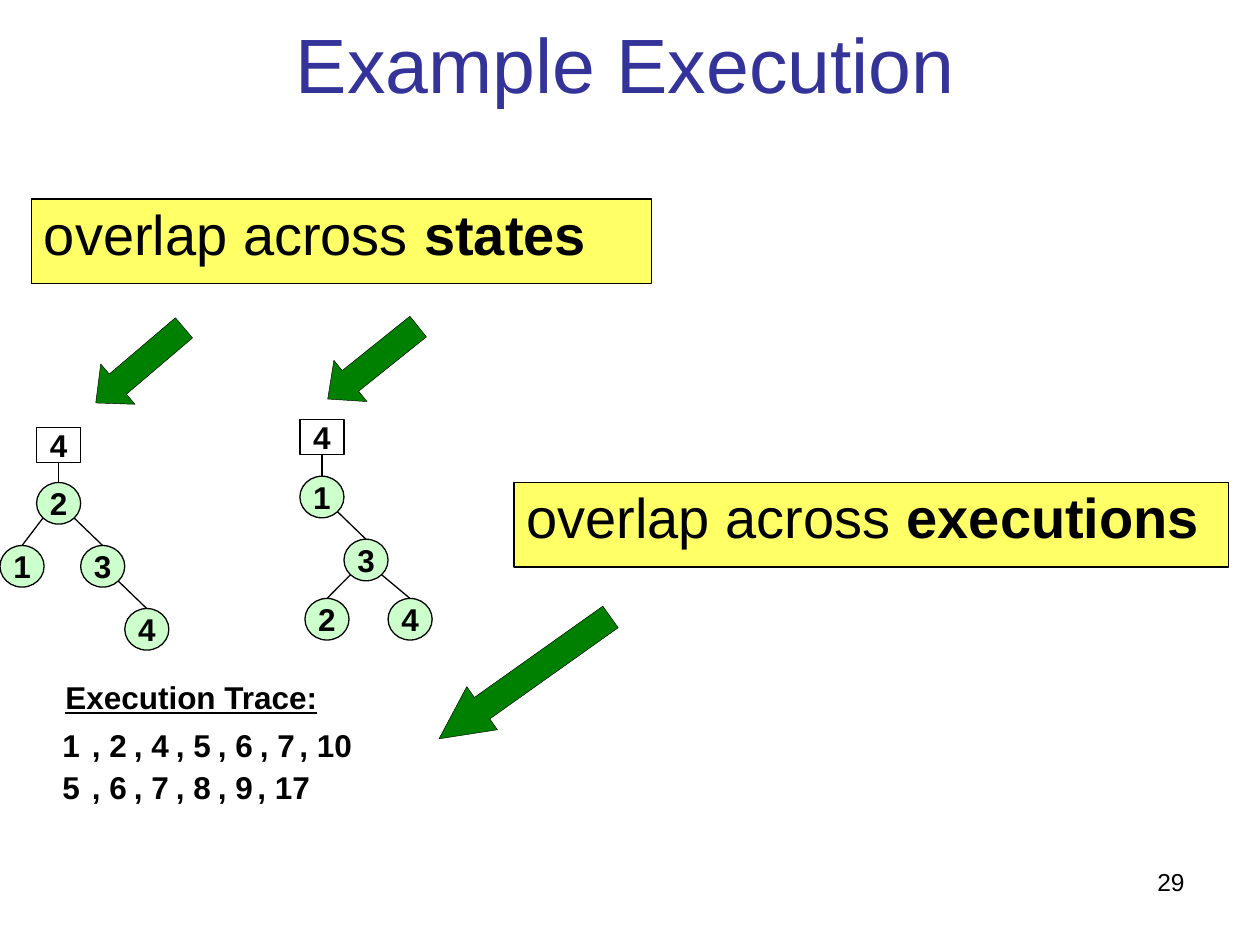
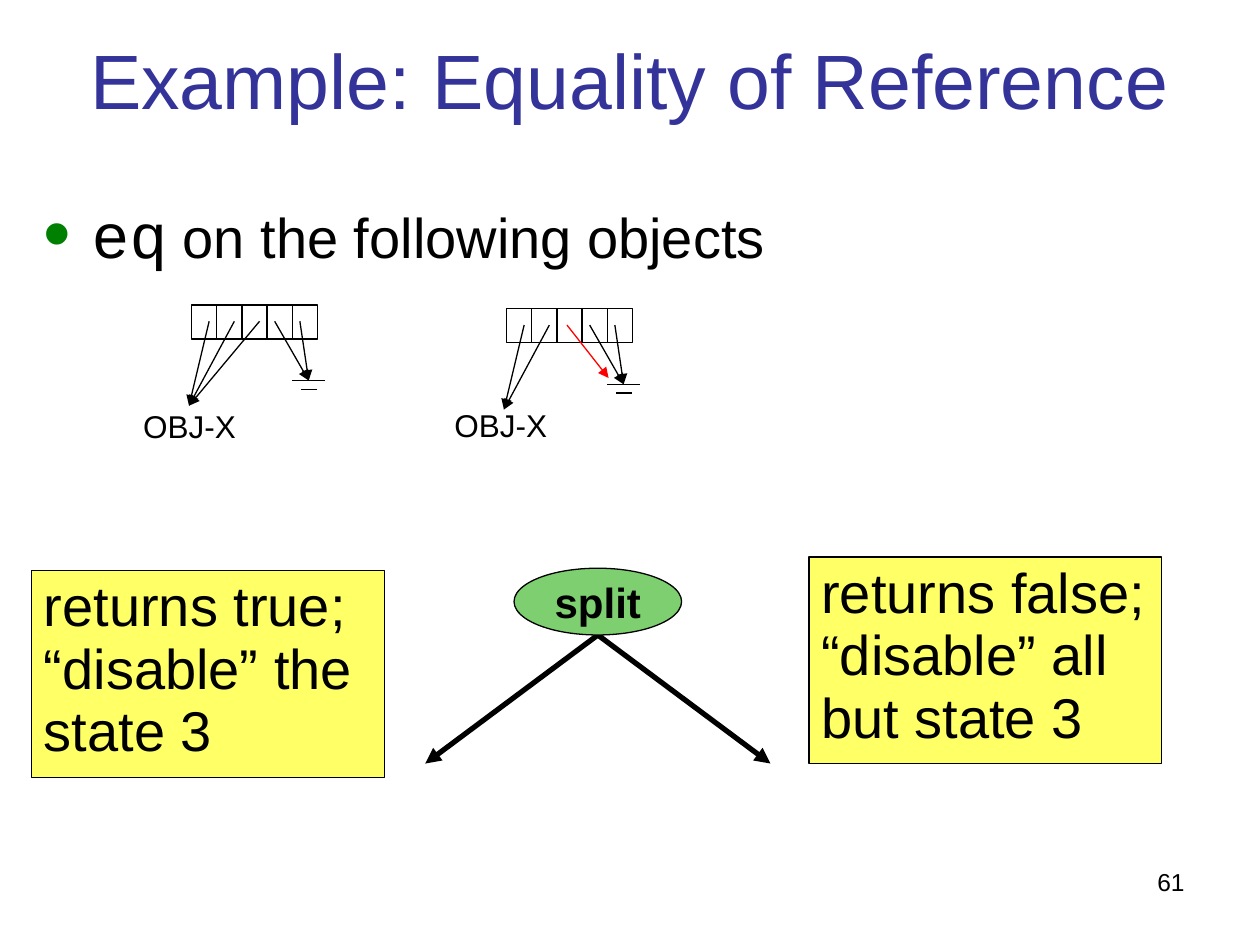
from lxml import etree
from pptx import Presentation
from pptx.dml.color import RGBColor
from pptx.enum.shapes import MSO_CONNECTOR, MSO_SHAPE
from pptx.enum.text import MSO_ANCHOR, PP_ALIGN
from pptx.oxml.ns import qn
from pptx.util import Inches, Pt

RECTANGLE, OVAL, LEFT_ARROW = MSO_SHAPE.RECTANGLE, MSO_SHAPE.OVAL, MSO_SHAPE.LEFT_ARROW
STRAIGHT = MSO_CONNECTOR.STRAIGHT
LEFT, CENTER, RIGHT = PP_ALIGN.LEFT, PP_ALIGN.CENTER, PP_ALIGN.RIGHT
TOP, MIDDLE = MSO_ANCHOR.TOP, MSO_ANCHOR.MIDDLE

COLORS = {
    "text": "000000",
    "title": "333399",
    "callout": "FFFF66",
    "node": "CCFFCC",
    "split": "7DCF6F",
    "green": "008000",
    "changed": "FF0000",
}
FONT, CODE_FONT = "Arial", "Courier New"
NODE_WIDTH, NODE_HEIGHT, ROOT_HEIGHT = 0.35, 0.33, 0.28
SLOT_WIDTH, SLOT_HEIGHT, SLOT_COUNT = 0.2, 0.27, 5


def color(name):
    return RGBColor.from_string(COLORS[name])


# Shared building blocks
def add_run(paragraph, text, size, bold=False, name="text", font=FONT):
    run = paragraph.add_run()
    run.text = text
    run.font.size = Pt(size)
    run.font.name = font
    run.font.bold = bold
    run.font.color.rgb = color(name)
    return run


def prepare_text(shape, align=LEFT, anchor=TOP, wrap=True):
    frame = shape.text_frame
    frame.word_wrap = wrap
    frame.vertical_anchor = anchor
    if not wrap:
        # Short labels use the full width of their box
        frame.margin_left = frame.margin_right = 0
    paragraph = frame.paragraphs[0]
    paragraph.alignment = align
    return paragraph


def add_text_box(slide, box, align=LEFT, anchor=TOP, wrap=True):
    shape = slide.shapes.add_textbox(*map(Inches, box))
    return prepare_text(shape, align, anchor, wrap)


def add_box(slide, kind, box, fill=None, line_width=0.75):
    shape = slide.shapes.add_shape(kind, *map(Inches, box))
    shape.shadow.inherit = False
    if fill:
        shape.fill.solid()
        shape.fill.fore_color.rgb = color(fill)
    else:
        shape.fill.background()
    shape.line.color.rgb = color("text")
    shape.line.width = Pt(line_width)
    return shape


def add_label_shape(slide, kind, box, text, size, fill=None):
    shape = add_box(slide, kind, box, fill)
    add_run(prepare_text(shape, CENTER, MIDDLE, wrap=False), text, size, bold=True)
    return shape


def add_line(slide, start, end, name="text", width=0.75, arrow=False):
    connector = slide.shapes.add_connector(STRAIGHT, *map(Inches, (*start, *end)))
    connector.line.color.rgb = color(name)
    connector.line.width = Pt(width)
    properties = connector._element.spPr
    if arrow:
        etree.SubElement(properties.find(qn("a:ln")), qn("a:tailEnd"), type="triangle")
    etree.SubElement(properties, qn("a:effectLst"))
    return connector


def add_title(slide, box, text, line_spacing=1.0):
    paragraph = add_text_box(slide, box, CENTER, MIDDLE)
    paragraph.line_spacing = line_spacing
    add_run(paragraph, text, 44, name="title")


def add_slide_number(slide, number):
    add_run(add_text_box(slide, (7.17, 6.83, 2.33, 0.52), RIGHT), str(number), 14)


def add_callout(slide, box, text, bold_text=""):
    paragraph = prepare_text(add_box(slide, RECTANGLE, box, "callout"))
    paragraph.line_spacing = 0.93
    add_run(paragraph, text, 32)
    if bold_text:
        add_run(paragraph, bold_text, 32, bold=True)


# Execution slide
def add_tree(slide, left, top, root_label, nodes):
    """Each node is (label, x, y, parent index); the first hangs from the root box."""
    root = add_label_shape(
        slide, RECTANGLE, (left, top, NODE_WIDTH, ROOT_HEIGHT), root_label, 18)
    for label, x, y, parent in nodes:
        box = (left + x, top + y, NODE_WIDTH, NODE_HEIGHT)
        shape = add_label_shape(slide, OVAL, box, label, 18, "node")
        if parent is None:
            edge = add_line(slide, (0, 0), (0, 0))
            edge.begin_connect(root, 2)
        else:
            # Edges leave the parent's rim at 45 degrees
            _, parent_x, parent_y, _ = nodes[parent]
            side = 1 if x > parent_x else -1
            start = (left + parent_x + NODE_WIDTH / 2 * (1 + side * 0.71),
                     top + parent_y + NODE_HEIGHT / 2 * 1.71)
            edge = add_line(slide, start, start)
        edge.end_connect(shape, 0)


def add_green_arrow(slide, box, rotation, head):
    arrow = add_box(slide, LEFT_ARROW, box, "green", 0.25)
    arrow.adjustments[0] = 0.5
    arrow.adjustments[1] = head
    arrow.rotation = rotation


def add_trace(slide, left, top, rows):
    heading = add_text_box(slide, (left + 0.05, top, 2.75, 0.4))
    add_run(heading, "Execution Trace:", 18, bold=True).font.underline = True
    step, first_shift = 1 / 3, 0.03
    for row, states in enumerate(rows):
        for column, state in enumerate(states):
            width = 0.33 if state < 10 else 0.43
            x = left + column * step + (0 if column else first_shift)
            box = (x, top + 0.42 + row * step, width, 0.33)
            text = f", {state}" if column else str(state)
            add_run(add_text_box(slide, box, CENTER, MIDDLE, wrap=False), text, 18, bold=True)


def build_execution_slide(slide):
    add_title(slide, (0.17, 0.07, 9.59, 0.81), "Example Execution", 1.06)
    add_trace(slide, 0.37, 5.33, [(1, 2, 4, 5, 6, 7, 10), (5, 6, 7, 8, 9, 17)])
    add_tree(slide, 0.29, 3.39, "4", [
        ("2", 0, 0.44, None), ("1", -0.29, 0.94, 0),
        ("3", 0.35, 0.94, 0), ("4", 0.7, 1.44, 2)])
    add_tree(slide, 2.38, 3.33, "4", [
        ("1", 0, 0.45, None), ("3", 0.35, 0.95, 0),
        ("2", 0.04, 1.42, 1), ("4", 0.7, 1.42, 1)])
    add_callout(slide, (4.08, 3.83, 5.67, 0.67), "overlap across ", "executions")
    add_callout(slide, (0.25, 1.58, 4.92, 0.67), "overlap across ", "states")
    add_green_arrow(slide, (3.33, 5.17, 1.67, 0.42), 324.6, 1)
    add_green_arrow(slide, (0.65, 2.69, 0.92, 0.42), 319.6, 0.55)
    add_green_arrow(slide, (2.5, 2.67, 0.92, 0.42), 321.3, 0.55)
    add_slide_number(slide, 29)


# Equality slide
def add_bullet(slide, box):
    paragraph = add_text_box(slide, box)
    properties = paragraph._p.get_or_add_pPr()
    properties.set("marL", str(Inches(0.38)))
    properties.set("indent", str(-Inches(0.38)))
    bullet_color = etree.SubElement(properties, qn("a:buClr"))
    etree.SubElement(bullet_color, qn("a:srgbClr"), val=COLORS["green"])
    etree.SubElement(properties, qn("a:buSzPct"), val="125000")
    etree.SubElement(properties, qn("a:buFont"), typeface=FONT)
    etree.SubElement(properties, qn("a:buChar"), char="•")
    add_run(paragraph, "eq", 36, font=CODE_FONT)
    add_run(paragraph, " on the following objects", 32)


def add_reference_array(slide, left, top, label_offset, third_pointer):
    def place(x, y):
        return left + x, top + y

    for index in range(SLOT_COUNT):
        box = (*place(index * SLOT_WIDTH, 0), SLOT_WIDTH, SLOT_HEIGHT)
        add_box(slide, RECTANGLE, box)

    # Null symbol
    for start, end, y in [(0.8, 1.06, 0.6), (0.87, 1, 0.67)]:
        add_line(slide, place(start, y), place(end, y))

    # Pointers from the slots
    shared_object, null = (-0.02, 0.8), (0.93, 0.6)
    pointers = [
        (0.14, shared_object, "text"), (0.34, shared_object, "text"),
        third_pointer or (0.54, shared_object, "text"),
        (0.66, null, "text"), (0.86, null, "text")]
    for x, target, name in pointers:
        add_line(slide, place(x, 0.13), place(*target), name, arrow=True)

    label = add_text_box(slide, (*place(*label_offset), 0.93, 0.4), CENTER, wrap=False)
    add_run(label, "OBJ-X", 18)


def add_split(slide, left, top):
    width, height = 1.33, 0.53
    middle, bottom = left + width / 2, top + height
    for reach in (-1.37, 1.37):
        add_line(slide, (middle, bottom), (middle + reach, bottom + 1.02), width=3, arrow=True)
    add_label_shape(slide, OVAL, (left, top, width, height), "split", 24, "split")


def build_equality_slide(slide):
    add_title(slide, (0, 0, 10, 1.25), "Example: Equality of Reference")
    add_bullet(slide, (0.25, 1.5, 9.5, 2.42))
    add_reference_array(slide, 1.52, 2.42, (-0.48, 0.76), None)
    add_reference_array(slide, 4.02, 2.45, (-0.51, 0.72), (0.48, (0.81, 0.55), "changed"))
    add_callout(slide, (0.25, 4.53, 2.8, 1.64), "returns true; “disable” the state 3")
    add_split(slide, 4.08, 4.51)
    add_callout(slide, (6.42, 4.42, 2.8, 1.64), "returns false; “disable” all but state 3")
    add_slide_number(slide, 61)


def main():
    presentation = Presentation()
    presentation.slide_width, presentation.slide_height = Inches(10), Inches(7.5)
    blank = presentation.slide_layouts[6]
    for build in (build_execution_slide, build_equality_slide):
        build(presentation.slides.add_slide(blank))
    presentation.save("out.pptx")


if __name__ == "__main__":
    main()
